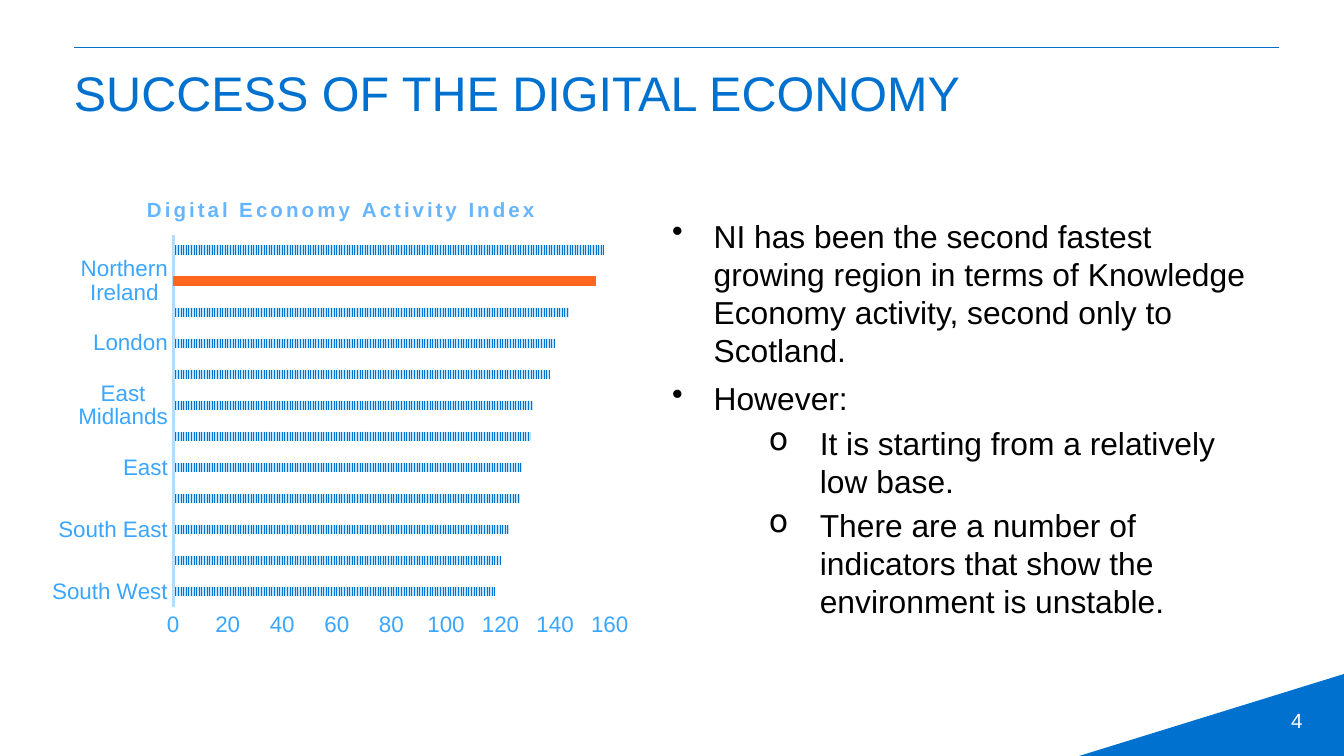
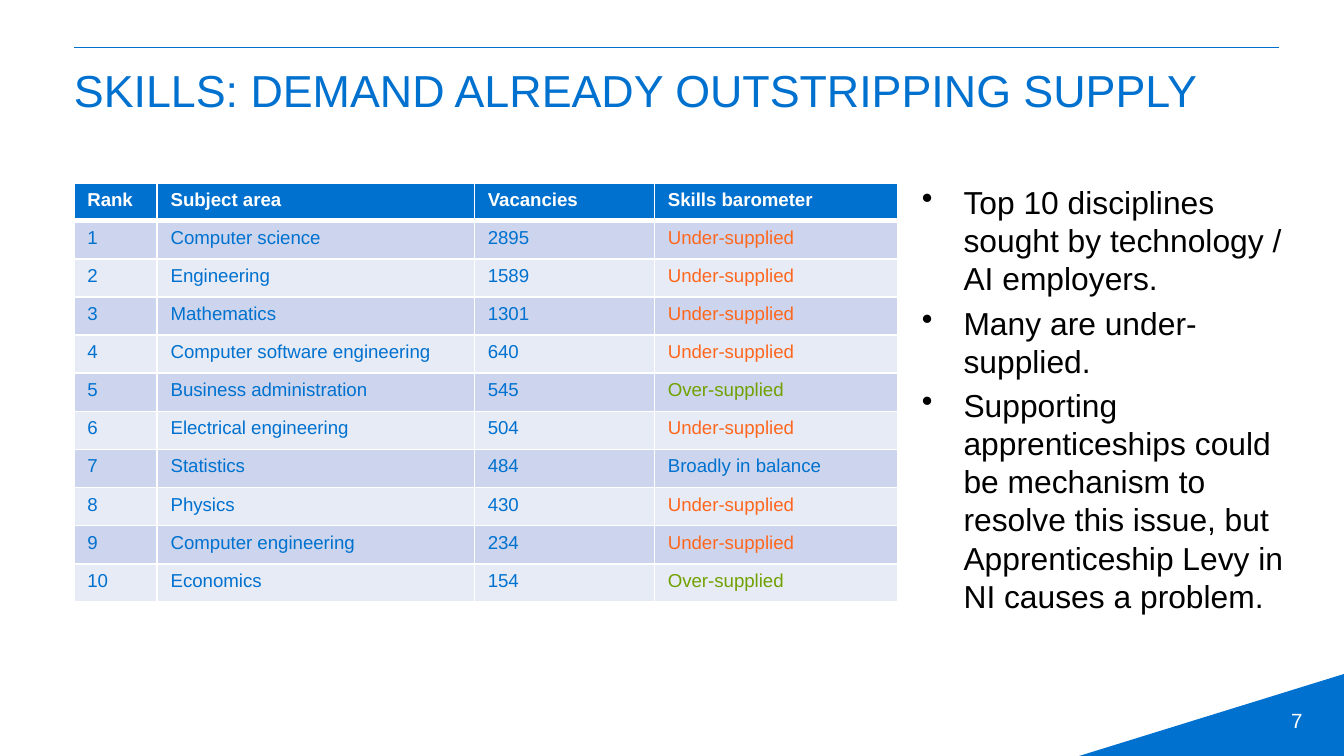
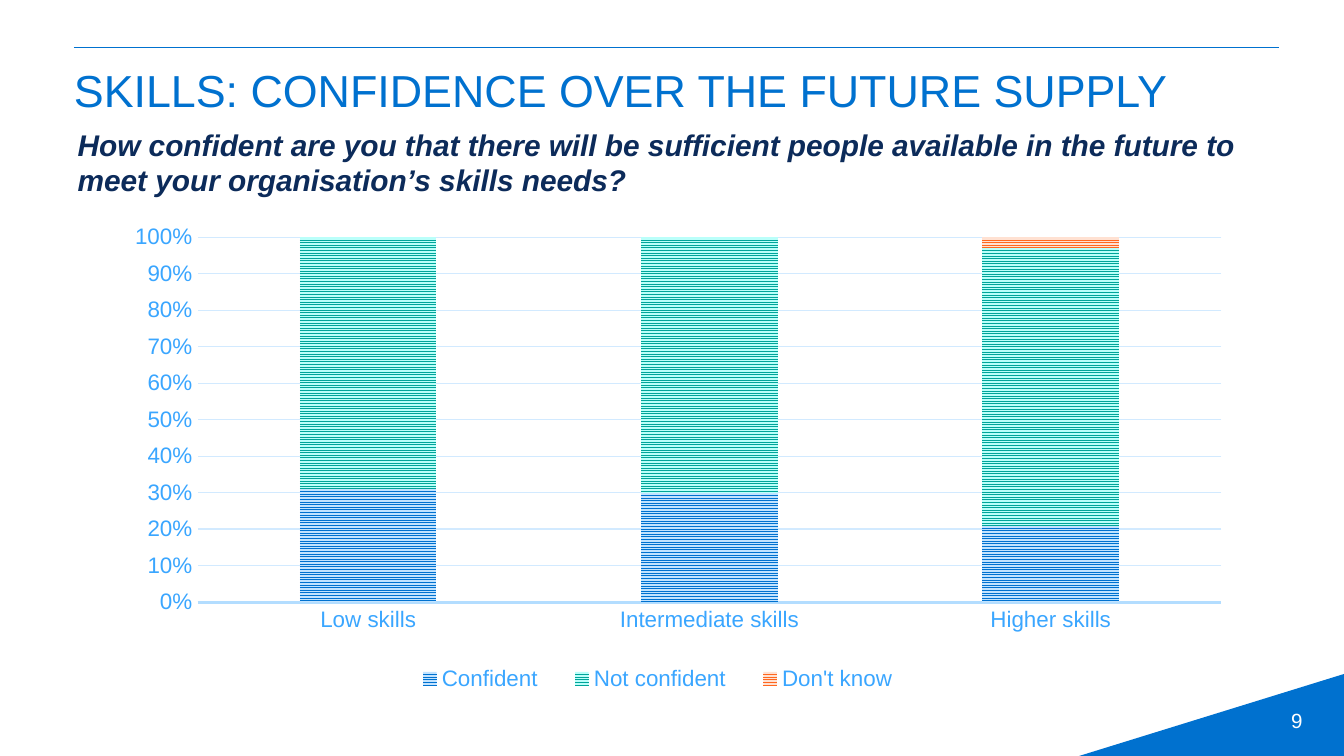
from lxml.etree import SubElement
from pptx import Presentation
from pptx.chart.data import CategoryChartData
from pptx.dml.color import RGBColor
from pptx.enum.chart import XL_CHART_TYPE as CT, XL_LEGEND_POSITION as LegendPos, XL_TICK_MARK as Tick
from pptx.enum.dml import MSO_PATTERN as Pattern
from pptx.enum.shapes import MSO_CONNECTOR as Conn, MSO_SHAPE as Shape
from pptx.enum.text import MSO_ANCHOR as Anchor, PP_ALIGN as Align
from pptx.oxml import parse_xml
from pptx.oxml.ns import nsdecls, qn
from pptx.util import Inches, Pt

W = 10
H = W * 9 / 16
LEFT, CONTENT_W = 0.55, 8.98
FONT = "Arial"
C = {
    "blue": "0071CF", "navy": "0C2B5A", "orange": "FF671F", "green": "71A100", "teal": "00A499",
    "label": "3AA6FF", "heading": "66B5FF", "axis": "B3DDFF", "grid": "D2EAFF",
    "pale_blue": "C2E3FF", "pale_teal": "BAFFFA", "pale_orange": "FFE1D2",
    "band_dark": "CCD5ED", "band_light": "E7EBF6", "white": "FFFFFF", "black": "000000",
}

# Bullet levels: glyph, text indent, hanging part
BULLETS = [("•", 0.31, 0.31), ("o", 1.1, 0.38)]
GROWTH = [(0, "NI has been the second fastest growing region in terms of Knowledge Economy "
              "activity, second only to Scotland.")]
HOWEVER = [
    (0, "However:"),
    (1, "It is starting from a relatively low base."),
    (1, "There are a number of indicators that show the environment is unstable."),
]
DISCIPLINES = [
    (0, "Top 10 disciplines sought by technology / AI employers."),
    (0, "Many are under-supplied."),
    (0, "Supporting apprenticeships could be mechanism to resolve this issue, but "
        "Apprenticeship Levy in NI causes a problem."),
]

ACTIVITY_INDEX = {
    "South West": 118, "North East": 120, "South East": 123, "Wales": 127, "East": 128,
    "Yorkshire": 131, "East Midlands": 132, "West Midlands": 138, "London": 140,
    "North West": 145, "Northern Ireland": 155, "Scotland": 158,
}

UNDER, OVER, BALANCED = "Under-supplied", "Over-supplied", "Broadly in balance"
SUPPLY_COLOURS = {UNDER: "orange", OVER: "green"}
COLUMNS = [("Rank", 0.62), ("Subject area", 2.36), ("Vacancies", 1.34), ("Skills barometer", 1.81)]
SUBJECTS = [
    ("Computer science", 2895, UNDER),
    ("Engineering", 1589, UNDER),
    ("Mathematics", 1301, UNDER),
    ("Computer software engineering", 640, UNDER),
    ("Business administration", 545, OVER),
    ("Electrical engineering", 504, UNDER),
    ("Statistics", 484, BALANCED),
    ("Physics", 430, UNDER),
    ("Computer engineering", 234, UNDER),
    ("Economics", 154, OVER),
]

QUESTION = ("How confident are you that there will be sufficient people available in the future "
            "to meet your organisation’s skills needs?")
SKILL_LEVELS = ["Low skills", "Intermediate skills", "Higher skills"]
CONFIDENCE = [
    ("Confident", (31, 30, 21), "blue", "pale_blue"),
    ("Not confident", (69, 70, 76), "teal", "pale_teal"),
    ("Don't know", (0, 0, 3), "orange", "pale_orange"),
]


def rgb(name):
    return RGBColor.from_string(C[name])


def box(*lengths):
    return [Inches(n) for n in lengths]


def set_font(font, size, colour, bold=False, italic=False):
    font.name, font.size, font.bold, font.italic = FONT, Pt(size), bold, italic
    font.color.rgb = rgb(colour)


def add_text_frame(slide, at, insets=(0, 0, 0, 0)):
    tf = slide.shapes.add_textbox(*box(*at)).text_frame
    tf.word_wrap = True
    tf.margin_left, tf.margin_top, tf.margin_right, tf.margin_bottom = box(*insets)
    return tf


def add_line_of_text(tf, text, size, colour, **style):
    p = tf.paragraphs[0]
    p.text = text
    set_font(p.font, size, colour, **style)
    return p


def add_base(prs, title, size, number):
    """Add a slide with the shared rule, corner, page number and title."""
    slide = prs.slides.add_slide(prs.slide_layouts[6])
    rule = slide.shapes.add_connector(Conn.STRAIGHT, *box(LEFT, 0.35, 9.52, 0.35))
    rule.line.color.rgb = rgb("blue")
    rule.line.width = Pt(0.25)
    SubElement(rule.element.spPr, qn("a:effectLst"))

    corner_w, corner_h = 1.97, 0.61
    corner = slide.shapes.add_shape(
        Shape.ISOSCELES_TRIANGLE, *box(W - corner_w, H - corner_h, corner_w, corner_h))
    corner.adjustments[0] = 1
    corner.shadow.inherit = False
    corner.fill.solid()
    corner.fill.fore_color.rgb = rgb("blue")
    corner.line.fill.background()

    tf = add_text_frame(slide, (7.46, 5.21, 2.33, 0.3), (0.1, 0.05, 0.1, 0.05))
    tf.vertical_anchor = Anchor.MIDDLE
    add_line_of_text(tf, str(number), 11, "white").alignment = Align.RIGHT
    add_line_of_text(add_text_frame(slide, (LEFT, 0.47, CONTENT_W, 0.58)), title, size, "blue")
    return slide


def add_bullets(slide, at, items):
    tf = add_text_frame(slide, at, (0, 0, 0, 0.05))
    for i, (level, text) in enumerate(items):
        p = tf.add_paragraph() if i else tf.paragraphs[0]
        p.text, p.level, p.space_before = text, level, Pt(3.4)
        set_font(p.font, 17, "black")
        glyph, indent, hanging = BULLETS[level]
        pPr = p._p.get_or_add_pPr()
        pPr.set("marL", str(Inches(indent)))
        pPr.set("indent", str(-Inches(hanging)))
        bullet = parse_xml(f'<a:buChar {nsdecls("a")} char="{glyph}"/>')
        pPr.find(qn("a:defRPr")).addprevious(bullet)


def place(chart, tag, index, **shares):
    """Give a chart part a manual place, in shares of the chart's size."""
    part = chart.element.find(".//" + qn(tag))
    for old in part.findall(qn("c:layout")):
        part.remove(old)
    modes = "".join(f'<c:{k}Mode val="edge"/>' for k in "xy")
    values = "".join(f'<c:{k} val="{v}"/>' for k, v in shares.items())
    target = '<c:layoutTarget val="inner"/>' if tag == "c:plotArea" else ""
    part.insert(index, parse_xml(
        f'<c:layout {nsdecls("c")}><c:manualLayout>{target}{modes}{values}'
        '</c:manualLayout></c:layout>'))


def add_bar_chart(slide, at, kind, categories, series, pattern, gap, overlap):
    data = CategoryChartData()
    data.categories = categories
    for name, values, *_ in series:
        data.add_series(name, values)
    chart = slide.shapes.add_chart(kind, *box(*at), data).chart
    set_font(chart.font, 10, "blue")
    chart.has_legend = chart.has_title = False
    plot = chart.plots[0]
    plot.gap_width, plot.overlap, plot.vary_by_categories = gap, overlap, False
    for s, (_, _, ink, paper) in zip(plot.series, series):
        fill = s.format.fill
        fill.patterned()
        fill.pattern = pattern
        fill.fore_color.rgb, fill.back_color.rgb = rgb(ink), rgb(paper)
        s.invert_if_negative = False
    for axis in (chart.category_axis, chart.value_axis):
        axis.major_tick_mark = axis.minor_tick_mark = Tick.NONE
        axis.has_major_gridlines = False
        set_font(axis.tick_labels.font, 12, "label")
    line = chart.category_axis.format.line
    line.color.rgb, line.width = rgb("axis"), Pt(1.5)
    chart.value_axis.format.line.fill.background()
    return chart


def add_activity_chart(slide):
    series = [("Series 1", ACTIVITY_INDEX.values(), "blue", "pale_blue")]
    chart = add_bar_chart(slide, (0.31, 1.29, 4.45, 3.51), CT.BAR_CLUSTERED, list(ACTIVITY_INDEX),
                          series, Pattern.NARROW_VERTICAL, 227, -48)
    axis = chart.value_axis
    axis.minimum_scale, axis.maximum_scale, axis.major_unit = 0, 160, 20
    highlight = list(ACTIVITY_INDEX).index("Northern Ireland")
    fill = chart.plots[0].series[0].points[highlight].format.fill
    fill.solid()
    fill.fore_color.rgb = rgb("orange")

    chart.has_title = True
    r = chart.chart_title.text_frame.paragraphs[0].add_run()
    r.text = "Digital Economy Activity Index"
    set_font(r.font, 11, "heading", bold=True)
    r._r.get_or_add_rPr().set("spc", "150")
    chart.chart_title.include_in_layout = False
    place(chart, "c:title", 1, x=0.17, y=0.04)
    place(chart, "c:plotArea", 0, x=0.22, y=0.13, w=0.73, h=0.79)


def add_confidence_chart(slide):
    chart = add_bar_chart(slide, (0.7, 0.89, 8.56, 4.38), CT.COLUMN_STACKED_100, SKILL_LEVELS,
                          CONFIDENCE, Pattern.NARROW_HORIZONTAL, 150, 100)
    axis = chart.value_axis
    axis.has_major_gridlines = True
    grid = axis.major_gridlines.format.line
    grid.color.rgb, grid.width = rgb("grid"), Pt(0.75)
    axis.tick_labels.number_format = "0%"
    axis.tick_labels.number_format_is_linked = False

    chart.has_legend = True
    chart.legend.position = LegendPos.TOP
    chart.legend.include_in_layout = False
    set_font(chart.legend.font, 12, "label")
    place(chart, "c:legend", 1, x=0.26, y=0.91, w=0.46, h=0.08)
    place(chart, "c:plotArea", 0, x=0.09, y=0.2, w=0.89, h=0.62)


def style_cell(cell, text, fill, colour, header):
    cell.fill.solid()
    cell.fill.fore_color.rgb = rgb(fill)
    add_line_of_text(cell.text_frame, text, 10, colour, bold=header)
    tcPr = cell._tc.get_or_add_tcPr()
    for i, side in enumerate(("lnL", "lnR", "lnT", "lnB")):
        width = Pt(3 if header and side == "lnB" else 1)
        tcPr.insert(i, parse_xml(
            f'<a:{side} {nsdecls("a")} w="{width}"><a:solidFill>'
            f'<a:srgbClr val="{C["white"]}"/></a:solidFill></a:{side}>'))


def add_subject_table(slide):
    rows = [[name for name, _ in COLUMNS]]
    rows += [[rank, *subject] for rank, subject in enumerate(SUBJECTS, 1)]
    widths = [w for _, w in COLUMNS]
    table = slide.shapes.add_table(
        len(rows), len(COLUMNS), *box(LEFT, 1.36, sum(widths), 3.12)).table
    for column, width in zip(table.columns, widths):
        column.width = Inches(width)
    for i, row in enumerate(rows):
        fill = "blue" if i == 0 else "band_dark" if i % 2 else "band_light"
        for j, value in enumerate(row):
            colour = "white" if i == 0 else SUPPLY_COLOURS.get(value, "blue")
            style_cell(table.cell(i, j), str(value), fill, colour, i == 0)


def main():
    prs = Presentation()
    prs.slide_width, prs.slide_height = box(W, H)

    slide = add_base(prs, "SUCCESS OF THE DIGITAL ECONOMY", 26, 4)
    add_activity_chart(slide)
    add_bullets(slide, (5, 2.82, 4.45, 1.99), HOWEVER)
    add_bullets(slide, (5, 1.61, 4.45, 1.03), GROWTH)

    slide = add_base(prs, "SKILLS: DEMAND ALREADY OUTSTRIPPING SUPPLY", 24, 7)
    add_subject_table(slide)
    add_bullets(slide, (6.86, 1.36, 2.76, 3.29), DISCIPLINES)

    slide = add_base(prs, "SKILLS: CONFIDENCE OVER THE FUTURE SUPPLY", 24, 9)
    add_confidence_chart(slide)
    tf = add_text_frame(slide, (0.48, 0.89, 8.87, 0.94), (0.1, 0.05, 0.1, 0.05))
    p = add_line_of_text(tf, QUESTION, 16, "navy", bold=True, italic=True)
    p.space_after = Pt(2.2)

    prs.save("out.pptx")


if __name__ == "__main__":
    main()
